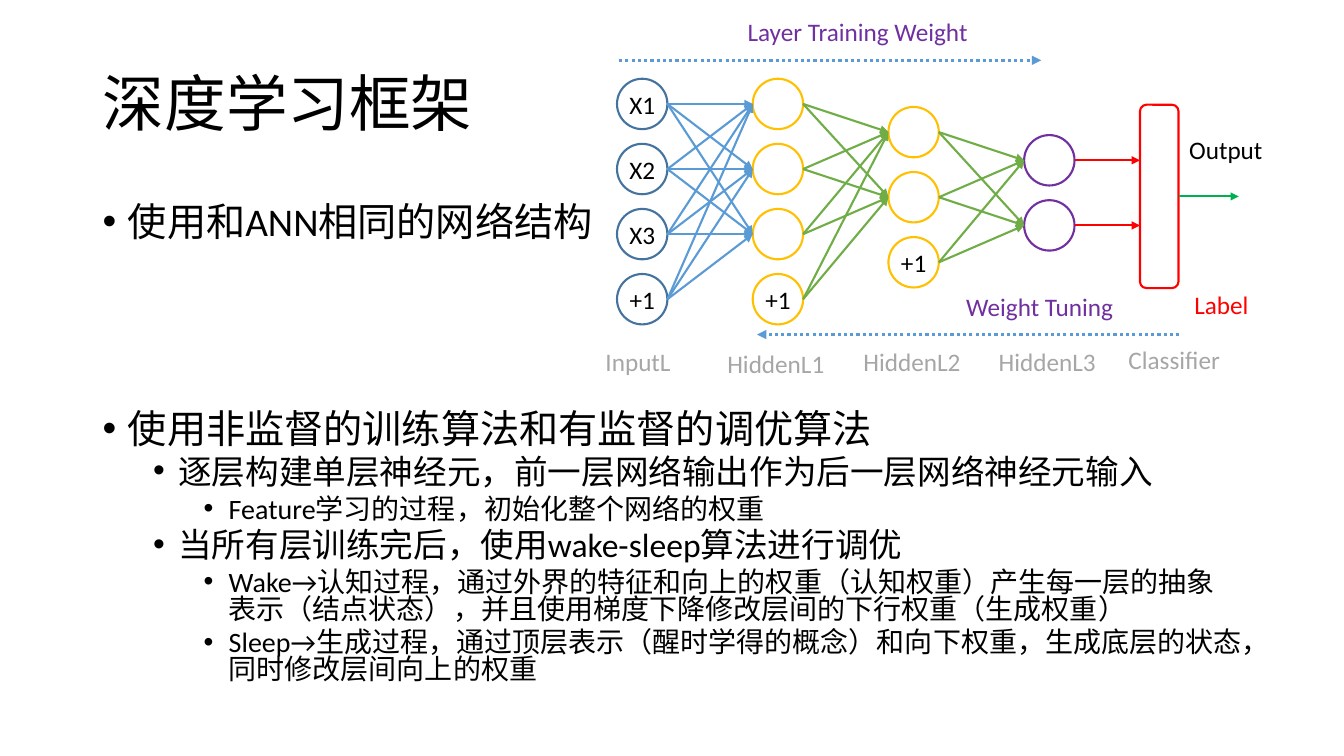
from itertools import product

from lxml import etree
from pptx import Presentation
from pptx import util as u
from pptx.dml.color import RGBColor
from pptx.enum import dml, shapes, text
from pptx.oxml.ns import qn

BLACK = RGBColor(0x00, 0x00, 0x00)
GREY = RGBColor(0xA6, 0xA6, 0xA6)
NAVY = RGBColor(0x43, 0x73, 0x9E)
BLUE = RGBColor(0x5B, 0x9B, 0xD5)
GOLD = RGBColor(0xFF, 0xC0, 0x00)
PURPLE = RGBColor(0x70, 0x30, 0xA0)
LEAF = RGBColor(0x70, 0xAD, 0x47)
RED = RGBColor(0xFF, 0x00, 0x00)
GREEN = RGBColor(0x00, 0xB0, 0x50)

# text, level, space before in points
OUTLINE = [
    ("使用和ANN相同的网络结构", 0, 0),
    ("使用非监督的训练算法和有监督的调优算法", 0, 121),
    ("逐层构建单层神经元，前一层网络输出作为后一层网络神经元输入", 1, 5),
    ("Feature学习的过程，初始化整个网络的权重", 2, 5),
    ("当所有层训练完后，使用wake-sleep算法进行调优", 1, 5),
    ("Wake→认知过程，通过外界的特征和向上的权重（认知权重）产生每一层的抽象"
     "表示（结点状态），并且使用梯度下降修改层间的下行权重（生成权重）", 2, 5),
    ("Sleep→生成过程，通过顶层表示（醒时学得的概念）和向下权重，生成底层的状"
     "态，同时修改层间向上的权重", 2, 5),
]
LEVEL_SIZES = (28, 24, 20)

# circle colour, circle texts, colour of the arrows to the next layer
LAYERS = [
    (NAVY, ("X1", "X2", "X3", "+1"), BLUE),
    (GOLD, ("", "", "", "+1"), LEAF),
    (GOLD, ("", "", "+1"), LEAF),
    (PURPLE, ("", ""), RED),
]
FIRST_LAYER_LEFT, LAYER_STEP = 15.55, 3.42
LAYER_CENTRES = (2.62, 2.62, 3.33, 4.04)
NEURON_STEP, NEURON_SIZE = 1.64, 1.27
CLASSIFIER_LEFT, CLASSIFIER_WIDTH = 28.73, 0.97

# text, left, top, width, colour
LABELS = [
    ("InputL", 15.01, 8.61, 2.34, GREY),
    ("HiddenL1", 18.08, 8.66, 3.02, GREY),
    ("HiddenL2", 21.51, 8.61, 3.02, GREY),
    ("HiddenL3", 24.92, 8.59, 3.02, GREY),
    ("Classifier", 28.19, 8.56, 3.02, GREY),
    ("Output", 29.72, 3.25, 3.02, BLACK),
    ("Layer Training Weight", 18.59, 0.28, 6.32, PURPLE),
    ("Label", 29.85, 7.16, 3.02, RED),
    ("Weight Tuning", 24.1, 7.21, 4.45, PURPLE),
]


class SlideBuilder:
    """Holds the text style and the current page; lengths are in centimetres."""

    def __init__(self, page, font="Calibri"):
        self.page = page
        self.font = font

    def add_span(self, para, words, size, color=BLACK):
        span = para.add_run()
        span.text = words
        span.font.name = self.font
        span.font.size = u.Pt(size)
        span.font.color.rgb = color

    def title(self, words, left, top, width, height):
        box = self.page.shapes.title
        box.left, box.top, box.width, box.height = map(u.Cm, (left, top, width, height))
        frame = box.text_frame
        frame.auto_size = text.MSO_AUTO_SIZE.NONE
        frame.vertical_anchor = text.MSO_ANCHOR.MIDDLE
        para = frame.paragraphs[0]
        para.alignment = text.PP_ALIGN.LEFT
        para.line_spacing = 0.9
        self.add_span(para, words, 44)

    def text_box(self, left, top, width, height):
        box = self.page.shapes.add_textbox(*map(u.Cm, (left, top, width, height)))
        box.text_frame.word_wrap = True
        return box.text_frame

    def label(self, words, left, top, width, color):
        frame = self.text_box(left, top, width, 1.03)
        self.add_span(frame.paragraphs[0], words, 18, color)

    def bullets(self, items, left, top, width, height):
        frame = self.text_box(left, top, width, height)
        for index, (words, level, before) in enumerate(items):
            para = frame.add_paragraph() if index else frame.paragraphs[0]
            para.level = level
            para.line_spacing = 0.8
            para.space_before = u.Pt(before)
            props = para._p.get_or_add_pPr()
            props.set("marL", str(u.Inches(0.25 + 0.5 * level)))
            props.set("indent", str(u.Inches(-0.25)))
            etree.SubElement(props, qn("a:buFont")).set("typeface", "Arial")
            etree.SubElement(props, qn("a:buChar")).set("char", "•")
            self.add_span(para, words, LEVEL_SIZES[level])

    def outlined(self, kind, left, top, width, height, color, words=""):
        shape = self.page.shapes.add_shape(kind, *map(u.Cm, (left, top, width, height)))
        shape.shadow.inherit = False
        shape.fill.background()
        shape.line.color.rgb = color
        shape.line.width = u.Pt(1.5)
        if words:
            frame = shape.text_frame
            frame.margin_left = frame.margin_right = 0
            frame.margin_top = frame.margin_bottom = 0
            frame.vertical_anchor = text.MSO_ANCHOR.MIDDLE
            para = frame.paragraphs[0]
            para.alignment = text.PP_ALIGN.CENTER
            self.add_span(para, words, 18)
        return shape

    def arrow(self, start, end, color, width=1.5, dotted=False):
        line = self.page.shapes.add_connector(
            shapes.MSO_CONNECTOR.STRAIGHT, *map(u.Cm, (*start, *end)))
        line.line.color.rgb = color
        line.line.width = u.Pt(width)
        if dotted:
            line.line.dash_style = dml.MSO_LINE.ROUND_DOT
            line.line._ln.find(qn("a:prstDash")).set("val", "sysDot")
        etree.SubElement(line.line._ln, qn("a:tailEnd")).set("type", "triangle")
        etree.SubElement(line._element.spPr, qn("a:effectLst"))
        return line


def draw_network(builder):
    lefts = [FIRST_LAYER_LEFT + LAYER_STEP * i for i in range(len(LAYERS))]
    centres = [[first + NEURON_STEP * row for row in range(len(names))]
               for first, (_, names, _) in zip(LAYER_CENTRES, LAYERS)]

    for left, rows, (color, names, _) in zip(lefts, centres, LAYERS):
        for y, name in zip(rows, names):
            builder.outlined(shapes.MSO_SHAPE.FLOWCHART_CONNECTOR, left, y - NEURON_SIZE / 2,
                             NEURON_SIZE, NEURON_SIZE, color, name)

    # Bias neurons (+1) receive no arrows.
    for i, (_, _, color) in enumerate(LAYERS[:-1]):
        targets = [y for y, name in zip(centres[i + 1], LAYERS[i + 1][1]) if name != "+1"]
        for y, target in product(centres[i], targets):
            builder.arrow((lefts[i] + NEURON_SIZE, y), (lefts[i + 1], target), color)

    classifier = builder.outlined(shapes.MSO_SHAPE.ROUNDED_RECTANGLE, CLASSIFIER_LEFT, 2.64,
                                  CLASSIFIER_WIDTH, 4.62, RED)
    for y in centres[-1]:
        builder.arrow((lefts[-1] + NEURON_SIZE, y), (CLASSIFIER_LEFT, y), LAYERS[-1][2])
    output = builder.arrow((CLASSIFIER_LEFT + CLASSIFIER_WIDTH, 4.95), (31.22, 4.95), GREEN)
    output.begin_connect(classifier, 3)


def main():
    deck = Presentation()
    deck.slide_width, deck.slide_height = u.Cm(33.87), u.Cm(19.05)
    builder = SlideBuilder(deck.slides.add_slide(deck.slide_layouts[5]))
    builder.title("深度学习框架", 2.34, 1.02, 29.21, 3.35)
    builder.bullets(OUTLINE, 2.34, 5.08, 29.21, 13.06)
    draw_network(builder)
    for label in LABELS:
        builder.label(*label)
    builder.arrow((15.6, 1.52), (26.24, 1.52), BLUE, 2.25, dotted=True)
    builder.arrow((29.72, 8.43), (19.08, 8.43), BLUE, 2.25, dotted=True)
    deck.save("out.pptx")


if __name__ == "__main__":
    main()
